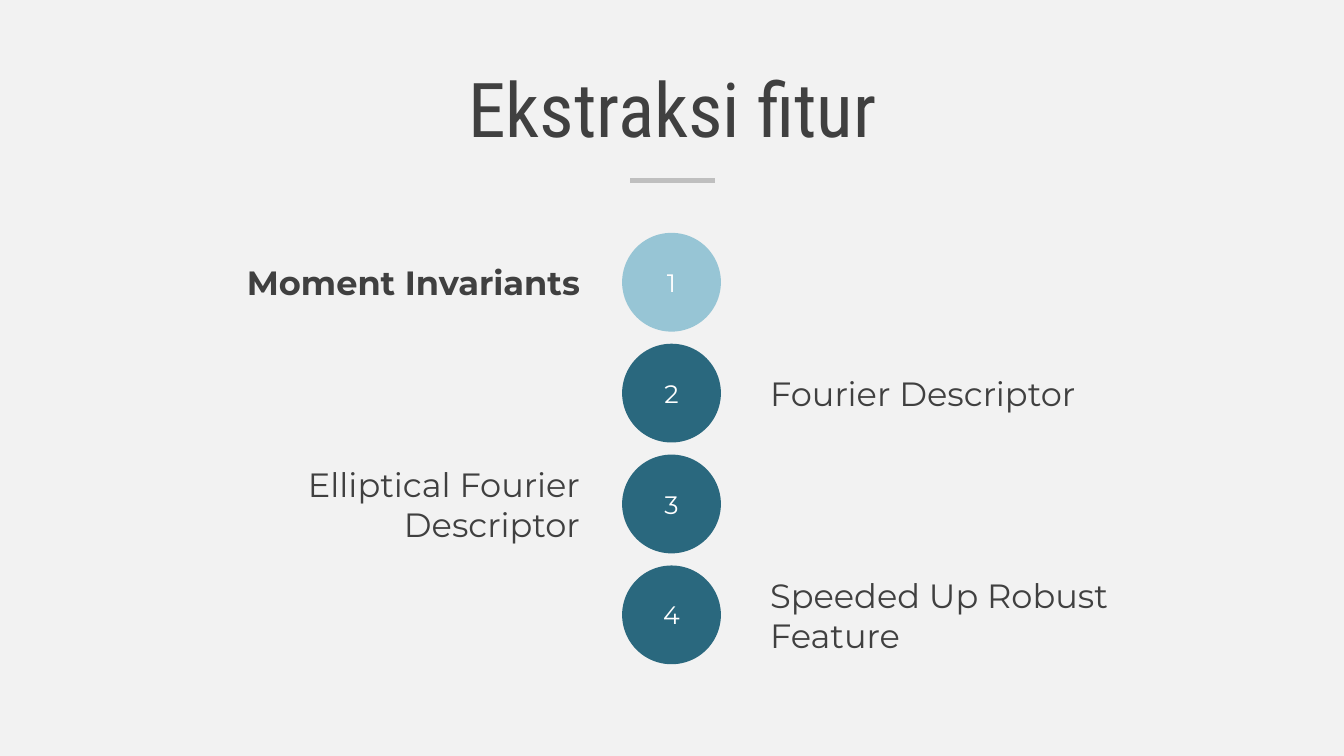
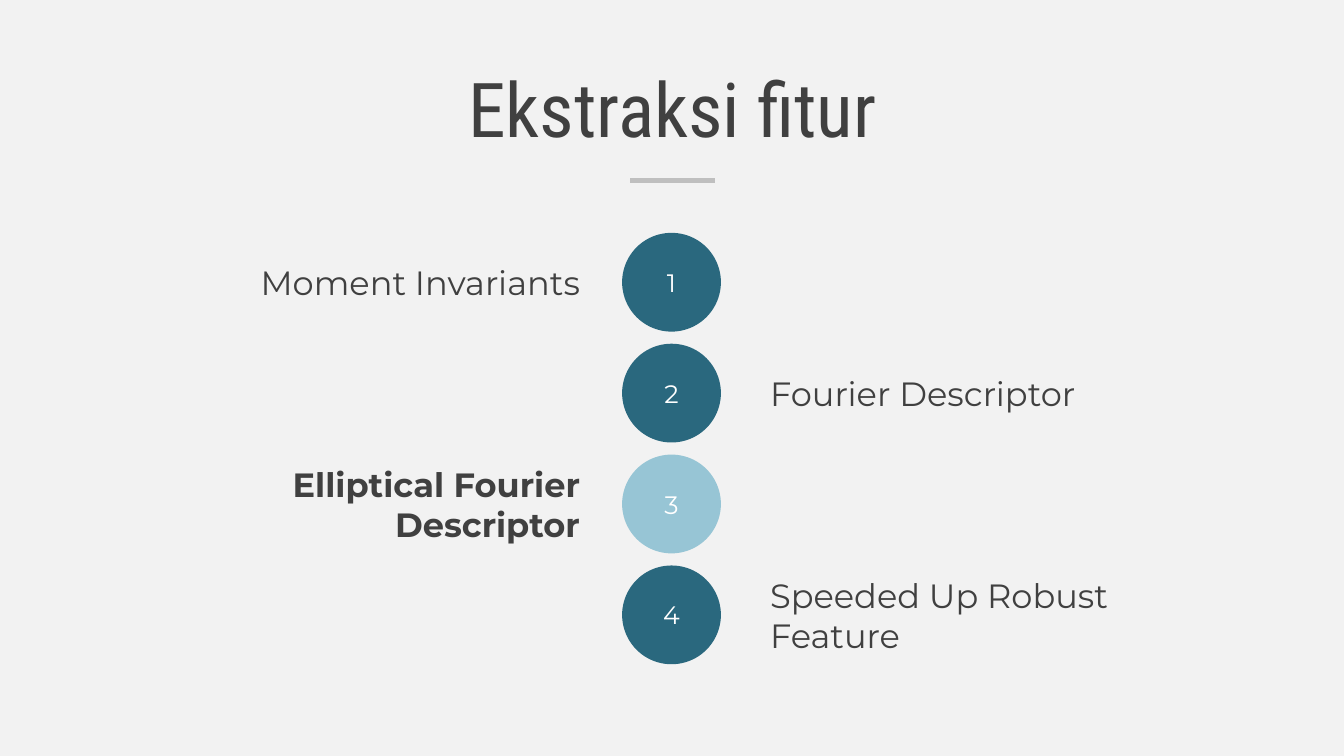
import pptx
import pptx.util
import pptx.dml.color
import pptx.enum.shapes
import pptx.enum.text
import pptx.oxml

Inches = pptx.util.Inches
ALIGN = pptx.enum.text.PP_ALIGN
ANCHOR = pptx.enum.text.MSO_ANCHOR

# Shared style
SLIDE_W, SLIDE_H = 13.33, 7.5
BACKGROUND, INK, RULE = "F2F2F2", "404040", "BFBFBF"
DARK, LIGHT, WHITE = "2A687E", "97C5D5", "FFFFFF"
HEAD_FONT, BODY_FONT = "Roboto Condensed", "Montserrat"

TITLE = "Ekstraksi fitur"
# Label and the number of lines it takes
METHODS = [
    ("Moment Invariants", 1),
    ("Fourier Descriptor", 1),
    ("Elliptical Fourier Descriptor", 2),
    ("Speeded Up Robust Feature", 2),
]
ACTIVE_STEPS = [1, 3]


def rgb(value):
    return pptx.dml.color.RGBColor.from_string(value)


def write(shape, text, size=24, font=BODY_FONT, color=INK, bold=False,
          align=ALIGN.LEFT, spacing=None):
    tf = shape.text_frame
    tf.word_wrap = True
    tf.vertical_anchor = ANCHOR.MIDDLE
    p = tf.paragraphs[0]
    p.alignment = align
    if spacing:
        p.line_spacing = spacing
    r = p.add_run()
    r.text = text
    r.font.name = font
    r.font.size = pptx.util.Pt(size)
    r.font.bold = bold
    r.font.color.rgb = rgb(color)


def add_text(s, box, text, **style):
    write(s.shapes.add_textbox(*map(Inches, box)), text, **style)


def add_title(s, box, text):
    left, top, width, height = box
    add_text(s, box, text, size=54, font=HEAD_FONT, align=ALIGN.CENTER,
             spacing=0.9)
    # Short rule near the bottom of the title
    center, rule_y, half = left + width / 2, top + height - 0.06, 0.42
    line = s.shapes.add_connector(
        pptx.enum.shapes.MSO_CONNECTOR.STRAIGHT,
        Inches(center - half), Inches(rule_y),
        Inches(center + half), Inches(rule_y))
    line.line.color.rgb = rgb(RULE)
    line.line.width = pptx.util.Pt(3.25)
    props = line._element.spPr
    props.append(pptx.oxml.parse_xml(
        '<a:effectLst xmlns:a='
        '"http://schemas.openxmlformats.org/drawingml/2006/main"/>'))


def add_circle(s, box, number, fill):
    sp = s.shapes.add_shape(pptx.enum.shapes.MSO_SHAPE.OVAL,
                            *map(Inches, box))
    sp.shadow.inherit = False
    sp.fill.solid()
    sp.fill.fore_color.rgb = rgb(fill)
    sp.line.fill.background()
    write(sp, str(number), size=18, color=WHITE, align=ALIGN.CENTER)


def add_steps(s, box, active):
    """Column of numbered circles, with labels alternating left and right."""
    left, top, width, height = box
    size, label_w = 0.98, 3.69
    pitch = (height - size) / (len(METHODS) - 1)
    circle_left = left + 4.01
    for i, (label, lines) in enumerate(METHODS):
        y = top + i * pitch
        on = i + 1 == active
        add_circle(s, (circle_left, y, size, size), i + 1,
                   LIGHT if on else DARK)
        on_left = i % 2 == 0
        label_h = 0.09 + 0.41 * lines
        add_text(s, (left if on_left else left + width - label_w,
                     y + (size - label_h) / 2, label_w, label_h),
                 label, bold=on, align=ALIGN.RIGHT if on_left else ALIGN.LEFT)


def add_agenda(prs, active):
    s = prs.slides.add_slide(prs.slide_layouts[6])
    add_title(s, (0.92, 0.4, 11.5, 1.45), TITLE)
    add_steps(s, (2.16, 2.31, 9.07, 4.28), active)


def main():
    prs = pptx.Presentation()
    prs.slide_width, prs.slide_height = Inches(SLIDE_W), Inches(SLIDE_H)
    fill = prs.slide_master.background.fill
    fill.solid()
    fill.fore_color.rgb = rgb(BACKGROUND)
    for active in ACTIVE_STEPS:
        add_agenda(prs, active)
    prs.save("out.pptx")


if __name__ == "__main__":
    main()
